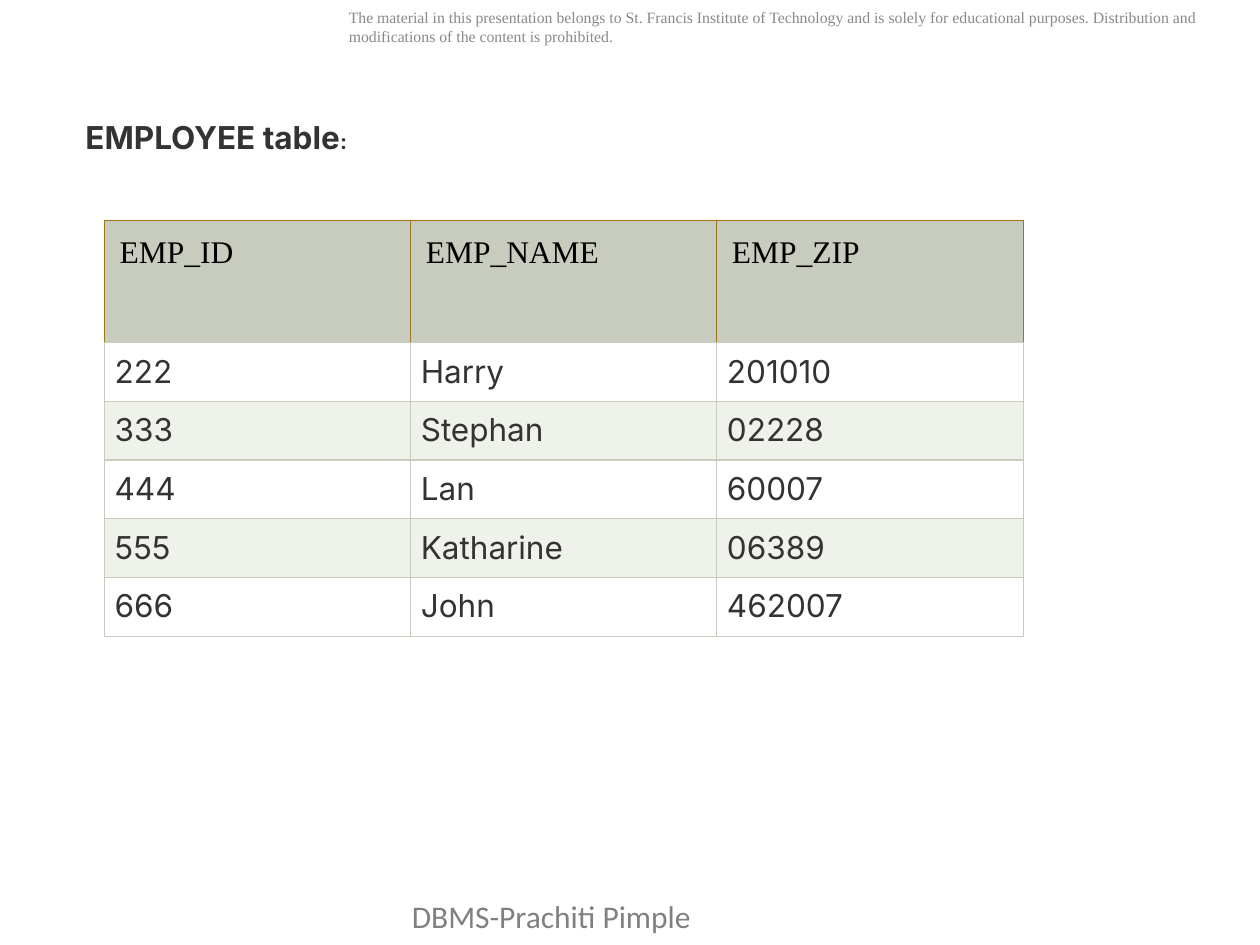
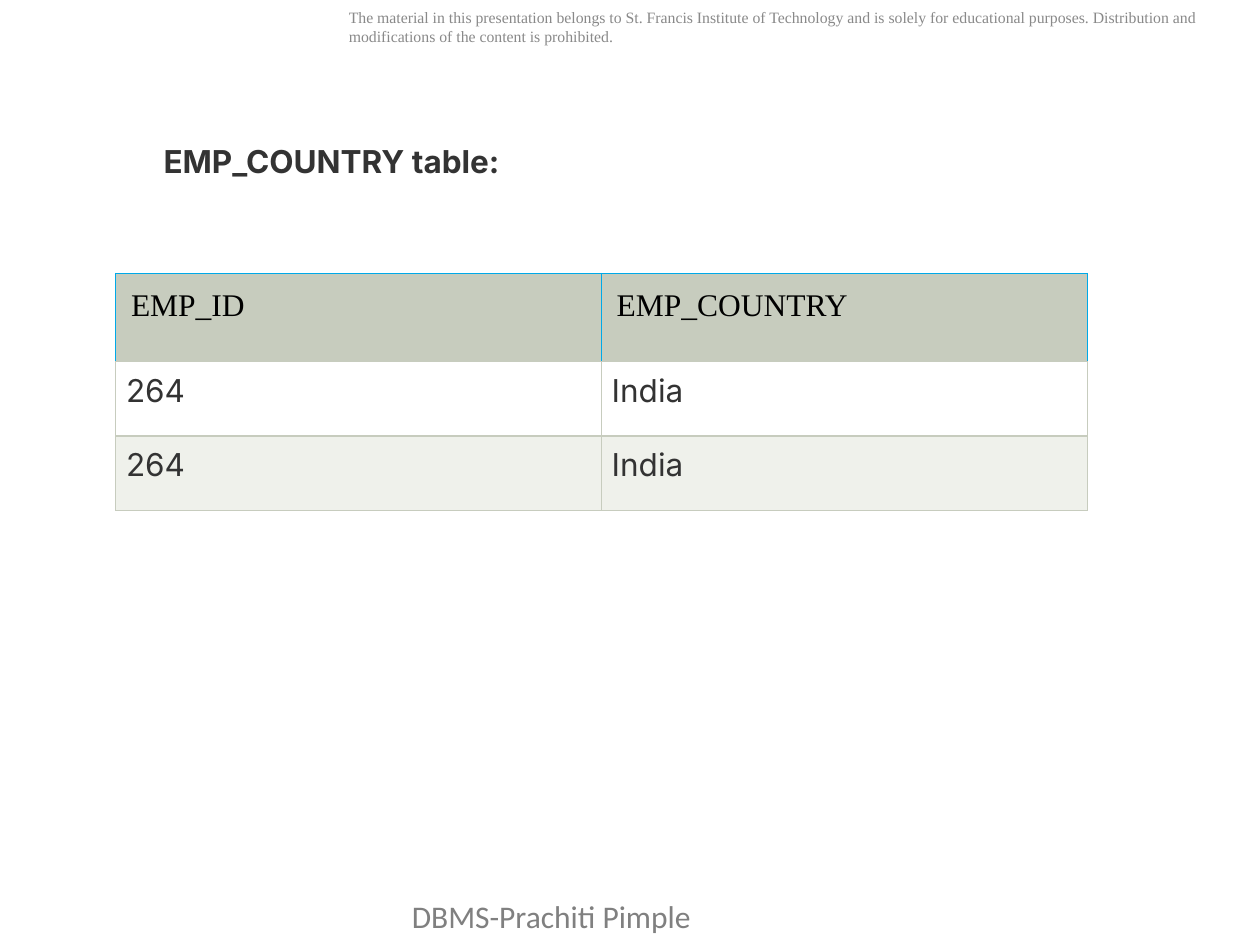
from dataclasses import dataclass

from lxml.etree import SubElement
from pptx import Presentation
from pptx.dml.color import RGBColor
from pptx.enum.shapes import MSO_SHAPE
from pptx.enum.text import MSO_ANCHOR, PP_ALIGN
from pptx.oxml.ns import qn
from pptx.util import Inches, Pt


@dataclass(frozen=True)
class Theme:
    """Colours, fonts and type sizes shared by the slides."""
    white: str = "FFFFFF"
    black: str = "000000"
    ink: str = "333333"
    notice: str = "898989"
    footer: str = "808080"
    head: str = "C7CCBE"
    band: str = "EFF1EB"
    gold: str = "A07419"
    blue: str = "00A9E8"
    serif: str = "Times New Roman"
    sans: str = "Inter"
    foot_font: str = "Calibri"
    body: int = 18
    colon: int = 12
    small: int = 9
    border: float = 0.75


T = Theme()
NOTICE = ("The material in this presentation belongs to St. Francis Institute of Technology "
          "and is solely for educational purposes. Distribution and modifications of the "
          "content is prohibited.")


def write(p, text, font=T.sans, size=T.body, color=T.ink, bold=False, align=PP_ALIGN.LEFT):
    """Add a formatted run to a paragraph."""
    p.alignment = align
    r = p.add_run()
    r.text = text
    r.font.name, r.font.size, r.font.bold = font, Pt(size), bold
    r.font.color.rgb = RGBColor.from_string(color)


def add_label(s, box, text, **style):
    """Place a wrapping text box."""
    tf = s.shapes.add_textbox(*map(Inches, box)).text_frame
    tf.word_wrap = True
    write(tf.paragraphs[0], text, **style)


def add_slide(prs):
    """Add a blank slide with the notice and the footer."""
    s = prs.slides.add_slide(prs.slide_layouts[6])
    add_label(s, (2.67, 0.01, 7.33, 0.71), NOTICE,
              font=T.serif, size=T.small, color=T.notice)
    add_label(s, (3.17, 7.07, 4.08, 0.4), "DBMS-Prachiti Pimple",
              font=T.foot_font, color=T.footer)
    return s


def add_title(s, box, parts, wrap, align=PP_ALIGN.LEFT):
    """Place a bold table title made of (text, size) parts."""
    sp = s.shapes.add_shape(MSO_SHAPE.RECTANGLE, *map(Inches, box))
    sp.shadow.inherit = False
    sp.fill.solid()
    sp.fill.fore_color.rgb = RGBColor.from_string(T.white)
    sp.line.fill.background()
    tf = sp.text_frame
    tf.word_wrap = wrap
    tf.vertical_anchor = MSO_ANCHOR.MIDDLE
    for text, size in parts:
        write(tf.paragraphs[0], text, size=size, bold=True, align=align)


def set_borders(cell, sides, bottom):
    """Draw the four cell borders, the bottom one in its own colour."""
    tc_pr = cell._tc.get_or_add_tcPr()
    for i, (side, color) in enumerate(zip("LRTB", (sides, sides, sides, bottom))):
        ln = SubElement(tc_pr, qn(f"a:ln{side}"), w=str(Pt(T.border)))
        SubElement(SubElement(ln, qn("a:solidFill")), qn("a:srgbClr"), val=color)
        tc_pr.insert(i, ln)


def fill_cell(cell, text, fill, inset, edge, **style):
    """Give a cell its text, fill, margins and borders."""
    cell.margin_left = cell.margin_right = Inches(inset)
    cell.margin_top = cell.margin_bottom = Inches(inset)
    cell.fill.solid()
    cell.fill.fore_color.rgb = RGBColor.from_string(fill)
    set_borders(cell, edge, T.head)
    write(cell.text_frame.paragraphs[0], text, **style)


def add_data_table(s, box, rows, head_height, edge):
    """Place a table with a header row and striped, equally high data rows."""
    x, y, w, h = box
    table = s.shapes.add_table(len(rows), len(rows[0]), *map(Inches, (x, y, w, h))).table
    table.first_row = table.horz_banding = False
    for col in table.columns:
        col.width = Inches(w / len(rows[0]))
    for i, values in enumerate(rows):
        row_height = head_height if i == 0 else (h - head_height) / (len(rows) - 1)
        table.rows[i].height = Inches(row_height)
        for j, text in enumerate(values):
            if i == 0:
                fill_cell(table.cell(i, j), text, T.head, 0.12, edge,
                          font=T.serif, color=T.black)
            else:
                fill_cell(table.cell(i, j), text, T.white if i % 2 else T.band, 0.08,
                          T.head, align=PP_ALIGN.JUSTIFY)


def employee_slide(prs):
    """Build the EMPLOYEE table slide."""
    s = add_slide(prs)
    rows = [("EMP_ID", "EMP_NAME", "EMP_ZIP"),
            ("222", "Harry", "201010"),
            ("333", "Stephan", "02228"),
            ("444", "Lan", "60007"),
            ("555", "Katharine", "06389"),
            ("666", "John", "462007")]
    add_data_table(s, (0.83, 1.75, 7.29, 3.3), rows, 0.97, T.gold)
    add_title(s, (0.58, 0.58, 2.32, 1.01),
              [("EMPLOYEE table", T.body), (":", T.colon)], wrap=False)


def country_slide(prs):
    """Build the EMP_COUNTRY table slide."""
    s = add_slide(prs)
    rows = [("EMP_ID", "EMP_COUNTRY"), ("264", "India"), ("264", "India")]
    add_data_table(s, (0.92, 2.17, 7.71, 1.88), rows, 0.7, T.blue)
    add_title(s, (1.2, 1.08, 2.87, 0.4), [("EMP_COUNTRY table:", T.body)],
              wrap=True, align=PP_ALIGN.JUSTIFY)


def main():
    """Build and save the presentation."""
    prs = Presentation()
    prs.slide_width, prs.slide_height = Inches(10), Inches(7.5)
    employee_slide(prs)
    country_slide(prs)
    prs.save("out.pptx")


if __name__ == "__main__":
    main()
